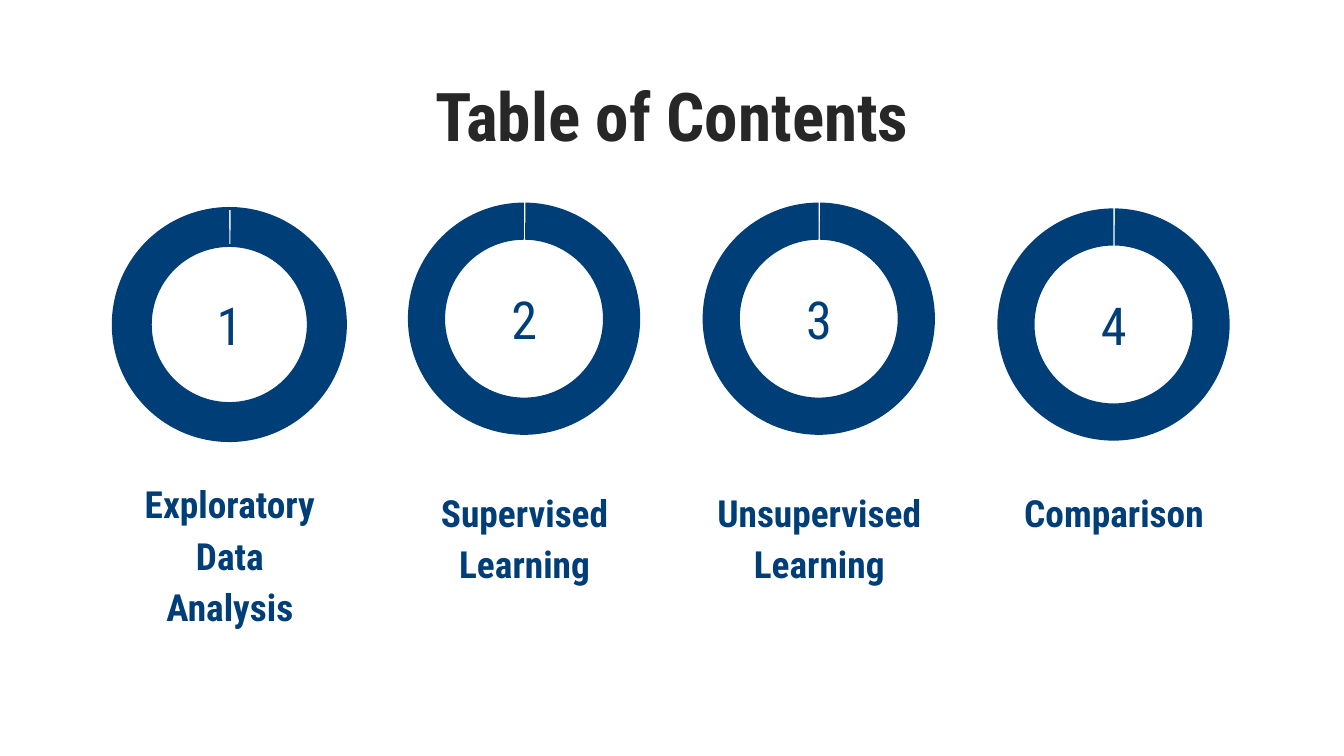
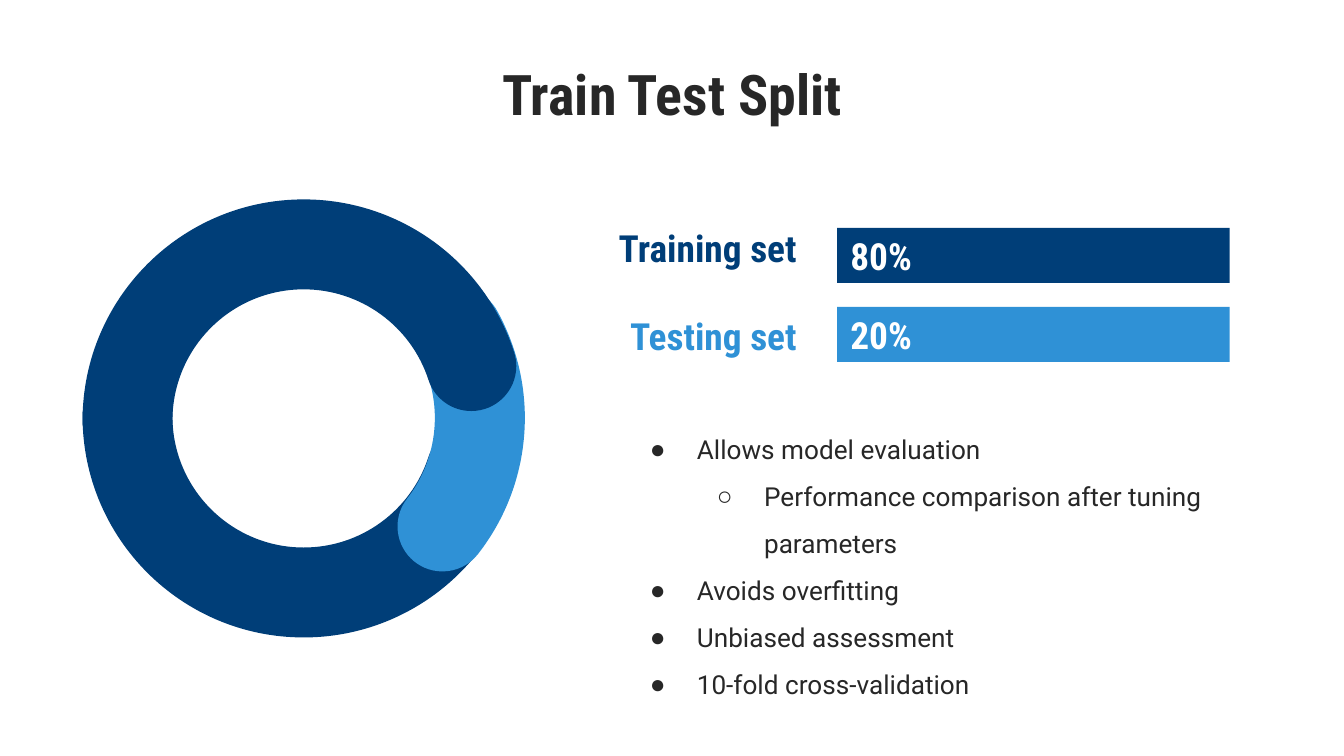
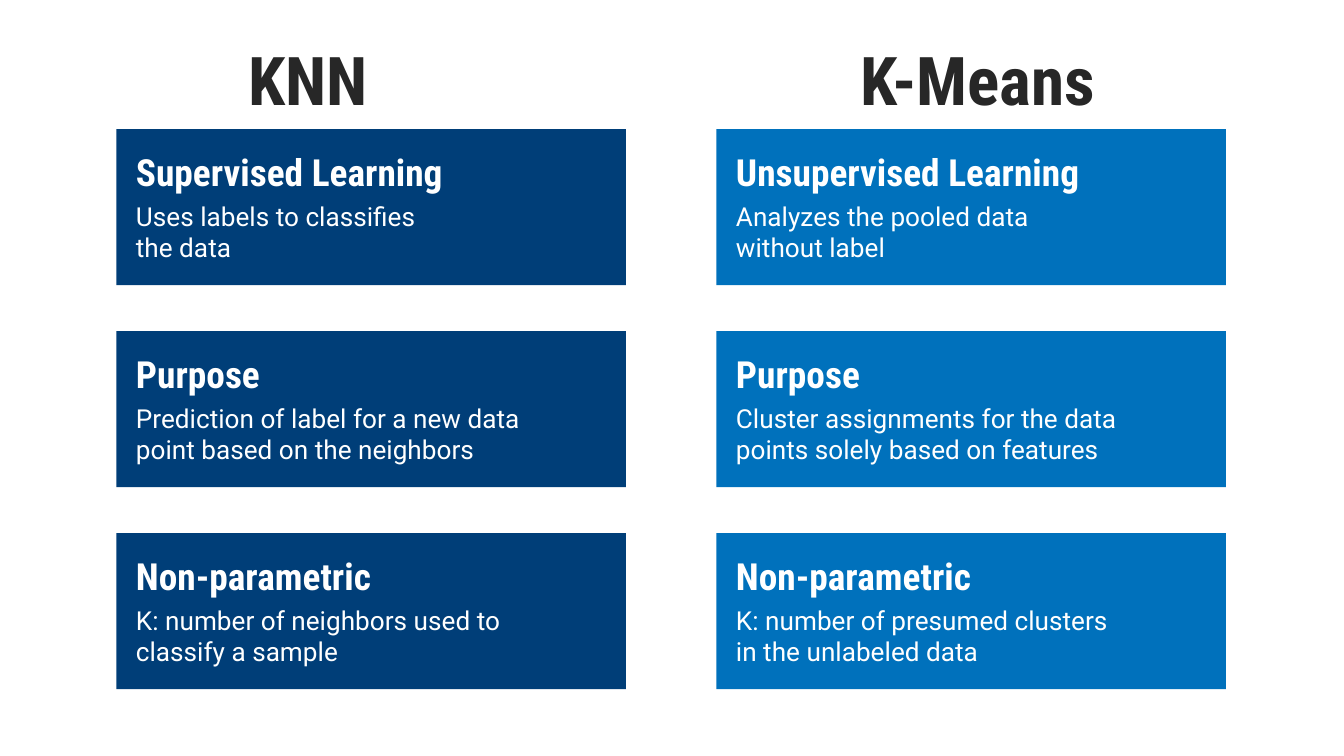
"""Build three slides on data analysis: contents, data split and a comparison."""
from math import cos, radians, sin, tan

from lxml.etree import SubElement
from pptx import Presentation
from pptx.dml.color import RGBColor
from pptx.enum.shapes import MSO_SHAPE as Kind
from pptx.enum.text import MSO_ANCHOR as Anchor
from pptx.enum.text import MSO_AUTO_SIZE as Fit
from pptx.enum.text import PP_ALIGN as Align
from pptx.oxml.ns import qn
from pptx.util import Cm, Pt

NAVY = RGBColor(0x00, 0x3E, 0x78)
SKY = RGBColor(0x2F, 0x91, 0xD6)
BLUE = RGBColor(0x00, 0x71, 0xBC)
INK = RGBColor(0x27, 0x27, 0x27)
WHITE = RGBColor(0xFF, 0xFF, 0xFF)
HEAD, BODY = "Roboto Condensed", "Roboto"

TOPICS = [
    ("Exploratory Data Analysis", 3.94, 8.72, 4.17),
    ("Supervised Learning", 3.83, 8.88, 4.17),
    ("Unsupervised Learning", 3.83, 8.88, 4.39),
    ("Comparison", 3.94, 8.88, 4.17),
]
SETS = [
    ("Training set", "80%", NAVY, 4.01, 1.65),
    ("Testing set", "20%", SKY, 5.67, 1.32),
]
ARCS = [(7.87, 18, 180, NAVY), (7.9, -29, 38, SKY), (7.95, 180, 342, NAVY)]
POINTS = [
    (0, "Allows model evaluation"),
    (1, "Performance comparison after tuning parameters"),
    (0, "Avoids overfitting"),
    (0, "Unbiased assessment"),
    (0, "10-fold cross-validation"),
]
KNN = [
    ("Supervised Learning", 6.4, "Uses labels to classifies the data", 5.79),
    ("Purpose", 6.4,
     "Prediction of label for a new data point based on the neighbors", 8.26),
    ("Non-parametric", 6.4,
     "K: number of neighbors used to classify a sample", 8.26),
]
MEANS = [
    ("Unsupervised Learning", 7.72,
     "Analyzes the pooled data without label", 6.65),
    ("Purpose", 6.4,
     "Cluster assignments for the data points solely based on features", 8.26),
    ("Non-parametric", 6.4,
     "K: number of presumed clusters in the unlabeled data", 7.98),
]


def place(shape, box):
    """Move a shape to left, top, width, height in centimetres."""
    shape.left, shape.top, shape.width, shape.height = map(Cm, box)


def frame(shape, anchor=Anchor.TOP):
    """Give a shape's text frame the shared margins and return it."""
    text = shape.text_frame
    text.word_wrap, text.auto_size = True, Fit.NONE
    text.vertical_anchor = anchor
    text.margin_left = text.margin_right = Cm(0.25)
    text.margin_top = text.margin_bottom = Cm(0.25)
    return text


def style(para, size, color, name=HEAD, bold=False, align=Align.LEFT):
    """Set the alignment and font of a paragraph."""
    para.alignment = align
    font = para.font
    font.size, font.name, font.bold = Pt(size), name, bold
    font.color.rgb = color


def write(shape, text, size, color, anchor=Anchor.TOP, **look):
    """Fill a shape with one styled paragraph and return it."""
    para = frame(shape, anchor).paragraphs[0]
    para.text = text
    style(para, size, color, **look)
    return para


def label(slide, box, text, size, color, **look):
    """Add a text box with one paragraph and return the paragraph."""
    shape = slide.shapes.add_textbox(*map(Cm, box))
    return write(shape, text, size, color, **look)


def title(slide, box, text, size=36, align=Align.CENTER):
    """Fill the title placeholder."""
    place(slide.shapes.title, box)
    write(slide.shapes.title, text, size, INK, bold=True, align=align)


def loose(para):
    """Open up the spacing of a heading."""
    para.line_spacing, para.space_after = 1.15, Pt(16)


def paint(shape, color):
    """Give a shape a plain fill with no line or shadow."""
    shape.shadow.inherit = False
    shape.fill.solid()
    shape.fill.fore_color.rgb = color
    shape.line.fill.background()


def block(slide, kind, box, color):
    """Add a filled preset shape."""
    shape = slide.shapes.add_shape(kind, *map(Cm, box))
    paint(shape, color)
    return shape


def ring(slide, box):
    """Add a nearly closed ring."""
    shape = block(slide, Kind.BLOCK_ARC, box, NAVY)
    for i, value in enumerate((162.43, 161.98, 0.16)):
        shape.adjustments[i] = value


def rim(slide, box):
    """Add an outlined donut without fill."""
    shape = slide.shapes.add_shape(Kind.DONUT, *map(Cm, box))
    shape.shadow.inherit = False
    shape.adjustments[0] = 0.16
    shape.fill.background()
    shape.line.color.rgb, shape.line.width = NAVY, Pt(1.5)


def sweep(x, y, radius, start, end):
    """Return curve points along a circle, cut at each quarter turn."""
    low, high = sorted((start, end))
    cuts = [low, *(q for q in range(-90, 720, 90) if low < q < high), high]
    if start > end:
        cuts.reverse()
    dots = []
    for a, b in zip(cuts, cuts[1:]):
        s, e = radians(a), radians(b)
        k = 4 / 3 * tan((e - s) / 4)
        dots += [(cos(s) - k * sin(s), sin(s) + k * cos(s)),
                 (cos(e) + k * sin(e), sin(e) - k * cos(e)),
                 (cos(e), sin(e))]
    return [(Cm(x + radius * u), Cm(y + radius * v)) for u, v in dots]


def bend(shape):
    """Turn each three line segments of a freeform into one closed curve."""
    route = shape._element.find(".//" + qn("a:path"))
    lines = route.findall(qn("a:lnTo"))
    for i, line in enumerate(lines):
        if i % 3 == 0:
            curve = SubElement(route, qn("a:cubicBezTo"))
        curve.append(line[0])
        route.remove(line)
    SubElement(route, qn("a:close"))


def arc(slide, y, start, end, color, x=5.74, mid=3.33, half=0.85):
    """Add a thick arc with round ends."""
    def cap(turn, first):
        """Return the half circle that closes one end."""
        at = radians(turn)
        return sweep(x + mid * cos(at), y + mid * sin(at), half,
                     first, first + 180)

    dots = (sweep(x, y, mid + half, start, end) + cap(end, end)
            + sweep(x, y, mid - half, end, start) + cap(start, start + 180))
    pen = slide.shapes.build_freeform(*dots[-1])
    pen.add_line_segments(dots, close=False)
    shape = pen.convert_to_shape()
    bend(shape)
    paint(shape, color)


def bullet(para, level):
    """Give a paragraph a hanging bullet for its level."""
    para.level = level
    props = para._p.get_or_add_pPr()
    props.set("marL", str(Cm(1.27 * (level + 1))))
    props.set("indent", str(Cm(-0.89)))
    tint = SubElement(props, qn("a:buClr"))
    SubElement(tint, qn("a:srgbClr"), val=str(INK))
    SubElement(props, qn("a:buChar"), char="●○"[level])


def bullets(shape, items):
    """Fill a body placeholder with a bulleted list."""
    text = frame(shape)
    for i, (level, line) in enumerate(items):
        para = text.add_paragraph() if i else text.paragraphs[0]
        para.text = line
        bullet(para, level)
        para.line_spacing, para.space_before = 1.5, Pt(0)
        style(para, 14, INK, name=BODY)


def column(slide, x, cards, color):
    """Stack cards, each with a heading and a short text."""
    for i, (head, wide, text, span) in enumerate(cards):
        y = 2.44 + 3.82 * i
        block(slide, Kind.RECTANGLE, (x, y, 9.63, 2.95), color)
        label(slide, (x + 0.12, y + 1.09, span, 1.24), text, 14, WHITE,
              name=BODY)
        loose(label(slide, (x + 0.12, y, wide, 0.91), head, 20, WHITE,
                    bold=True))


def topics(slide):
    """Lay out the numbered rings of the contents slide."""
    title(slide, (1.27, 1.16, 22.86, 2.03), "Table of Contents")
    for i, (name, y, low, wide) in enumerate(TOPICS):
        x = 2.14 + 5.57 * i
        box = (x, y, 4.39, 4.39)
        if i == 0:
            rim(slide, box)
        ring(slide, box)
        label(slide, (x + 1.07, y + 1.7, 2.26, 0.99), str(i + 1), 28, NAVY,
              anchor=Anchor.MIDDLE, align=Align.CENTER)
        loose(label(slide, (x + (4.41 - wide) / 2, low, wide, 1.32), name,
                    20, NAVY, bold=True, align=Align.CENTER))


def split(slide):
    """Lay out the ring, bars and list of the split slide."""
    title(slide, (1.27, 0.88, 22.86, 1.37), "Train Test Split", 30)
    for y, start, end, color in ARCS:
        arc(slide, y, start, end, color)
    body = slide.placeholders[1]
    place(body, (11.65, 7.65, 11.38, 4.42))
    bullets(body, POINTS)
    for i, (name, share, color, y, high) in enumerate(SETS):
        bar = block(slide, Kind.RECTANGLE,
                    (15.82, 4.31 + 1.49 * i, 7.42, 1.04), color)
        write(bar, share, 20, WHITE, anchor=Anchor.MIDDLE, bold=True)
        label(slide, (10.08, y, 5.23, high), name, 20, color, bold=True,
              align=Align.RIGHT)


def versus(slide):
    """Lay out the two columns of the comparison slide."""
    title(slide, (4.45, 0.48, 5.13, 1.37), "KNN", align=Align.LEFT)
    label(slide, (16.01, 0.48, 7.79, 1.37), "K-Means", 36, INK, bold=True)
    column(slide, 2.2, KNN, NAVY)
    column(slide, 13.54, MEANS, BLUE)


def main():
    """Build and save the deck."""
    deck = Presentation()
    deck.slide_width, deck.slide_height = Cm(25.4), Cm(14.29)
    for layout, draw in ((5, topics), (1, split), (5, versus)):
        draw(deck.slides.add_slide(deck.slide_layouts[layout]))
    deck.save("out.pptx")


if __name__ == "__main__":
    main()
